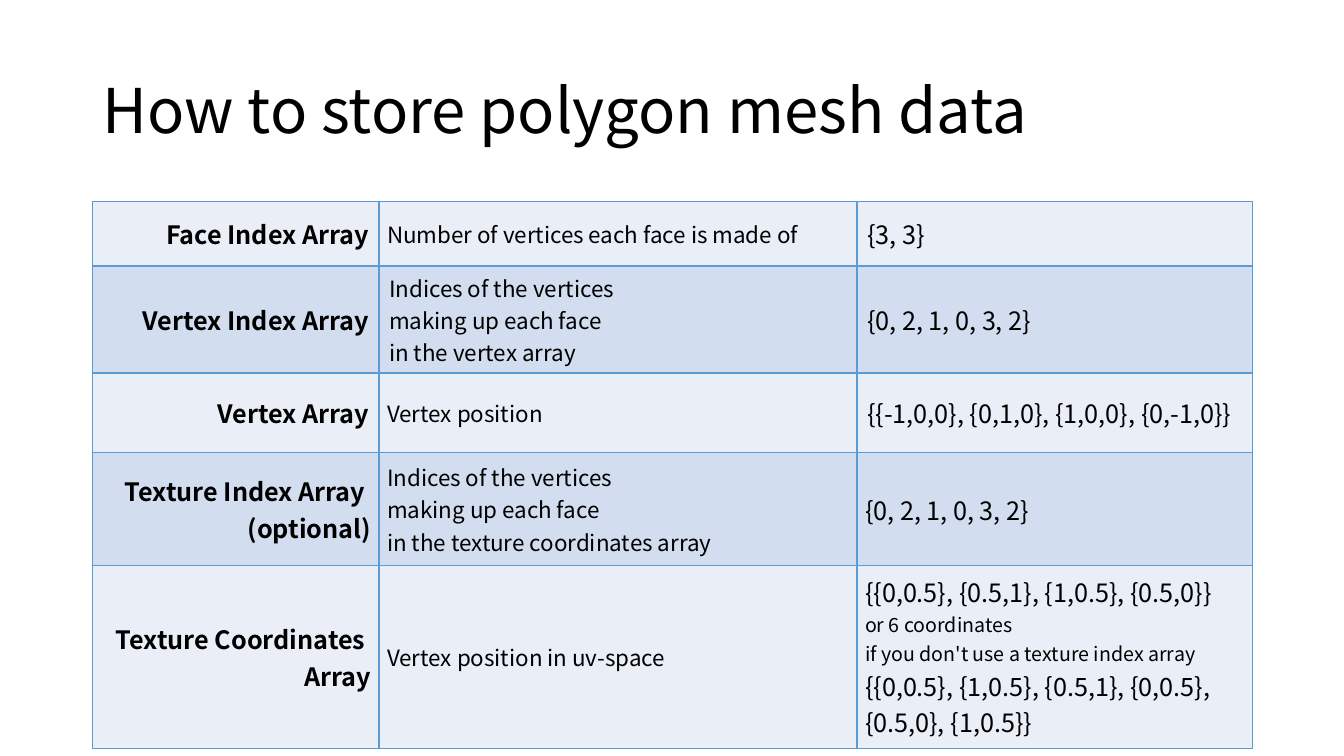
import pptx
import pptx.dml.color
import pptx.enum.text
import pptx.oxml
import pptx.oxml.ns
import pptx.util
from pptx.util import Inches

SLIDE_W, SLIDE_H = Inches(13.33), Inches(7.5)
MARGIN = Inches(0.92)
CONTENT_W = Inches(11.5)
COLUMN_WIDTHS = (2.84, 4.74, 3.92)
ROW_HEIGHTS = (0.64, 0.79, 0.79, 0.79, 0.79)
TIGHT_INSET = Inches(0.08)

FONT = "Noto Sans CJK KR"
BLACK = pptx.dml.color.RGBColor(0x00, 0x00, 0x00)
BORDER = pptx.dml.color.RGBColor(0x5B, 0x9B, 0xD5)
BANDS = (
    pptx.dml.color.RGBColor(0xEA, 0xEF, 0xF7),
    pptx.dml.color.RGBColor(0xD2, 0xDE, 0xEF),
)
LEFT = pptx.enum.text.PP_ALIGN.LEFT
RIGHT = pptx.enum.text.PP_ALIGN.RIGHT
MIDDLE = pptx.enum.text.MSO_ANCHOR.MIDDLE

COLUMN_FORMATS = (
    {"size": 18, "bold": True, "align": RIGHT},
    {"size": 16},
    {"size": 18},
)
NOTE_SIZE = 14

# Each cell is a list of paragraphs; a paragraph is a string or a list of
# (text, size) lines.
ARRAYS = (
    (["Face Index Array"],
     ["Number of vertices each face is made of"],
     ["{3, 3}"]),
    (["Vertex Index Array"],
     ["Indices of the vertices", "making up each face", "in the vertex array"],
     ["{0, 2, 1, 0, 3, 2}"]),
    (["Vertex Array"],
     ["Vertex position"],
     ["{{-1,0,0}, {0,1,0}, {1,0,0}, {0,-1,0}}"]),
    (["Texture Index Array ", "(optional)"],
     ["Indices of the vertices", "making up each face",
      "in the texture coordinates array"],
     ["{0, 2, 1, 0, 3, 2}"]),
    (["Texture Coordinates ", "Array"],
     ["Vertex position in uv-space"],
     ["{{0,0.5}, {0.5,1}, {1,0.5}, {0.5,0}}",
      [("or 6 coordinates", NOTE_SIZE)],
      [("if you don't use a texture index array", NOTE_SIZE),
       ("{{0,0.5}, {1,0.5}, {0.5,1}, {0,0.5},", 18)],
      "{0.5,0}, {1,0.5}}"]),
)
TIGHT_CELLS = {(0, 1), (2, 1)} | {(row, col) for row in (3, 4) for col in range(3)}


def write_text(frame, paragraphs, size, bold=False, align=LEFT, line_spacing=None):
    for index, content in enumerate(paragraphs):
        paragraph = frame.paragraphs[0] if index == 0 else frame.add_paragraph()
        paragraph.alignment = align
        if line_spacing:
            paragraph.line_spacing = line_spacing
        lines = [(content, size)] if isinstance(content, str) else content
        for line_number, (text, line_size) in enumerate(lines):
            if line_number:
                paragraph.add_line_break()
            run = paragraph.add_run()
            run.text = text
            run.font.name = FONT
            run.font.size = pptx.util.Pt(line_size)
            run.font.bold = bold
            run.font.color.rgb = BLACK


def outline_cell(cell):
    """Draw all four borders; they must precede the fill in the cell's XML."""
    properties = cell._tc.get_or_add_tcPr()
    for position, side in enumerate(("lnL", "lnR", "lnT", "lnB")):
        border = pptx.oxml.parse_xml(
            f'<a:{side} {pptx.oxml.ns.nsdecls("a")} w="{pptx.util.Pt(1)}">'
            f'<a:solidFill><a:srgbClr val="{BORDER}"/></a:solidFill></a:{side}>'
        )
        properties.insert(position, border)


def add_title(slide, text):
    title = slide.shapes.title
    title.left, title.top = MARGIN, Inches(0.4)
    title.width, title.height = CONTENT_W, Inches(1.45)
    frame = title.text_frame
    frame.vertical_anchor = MIDDLE
    frame.word_wrap = True
    frame.auto_size = pptx.enum.text.MSO_AUTO_SIZE.NONE
    write_text(frame, [text], size=44, line_spacing=0.9)


def add_array_table(slide):
    table = slide.shapes.add_table(
        len(ARRAYS), len(COLUMN_WIDTHS), MARGIN, Inches(2),
        CONTENT_W, Inches(sum(ROW_HEIGHTS)),
    ).table
    table.first_row = False
    table.horz_banding = False
    for column, width in zip(table.columns, COLUMN_WIDTHS):
        column.width = Inches(width)
    for row, height in zip(table.rows, ROW_HEIGHTS):
        row.height = Inches(height)
    for row_number, array in enumerate(ARRAYS):
        for col_number, paragraphs in enumerate(array):
            cell = table.cell(row_number, col_number)
            cell.vertical_anchor = MIDDLE
            if (row_number, col_number) in TIGHT_CELLS:
                cell.margin_left = cell.margin_right = TIGHT_INSET
                cell.margin_top = cell.margin_bottom = TIGHT_INSET
            cell.fill.solid()
            cell.fill.fore_color.rgb = BANDS[row_number % 2]
            outline_cell(cell)
            write_text(cell.text_frame, paragraphs, **COLUMN_FORMATS[col_number])


def main():
    presentation = pptx.Presentation()
    presentation.slide_width, presentation.slide_height = SLIDE_W, SLIDE_H
    slide = presentation.slides.add_slide(presentation.slide_layouts[5])
    add_title(slide, "How to store polygon mesh data")
    add_array_table(slide)
    presentation.save("out.pptx")


if __name__ == "__main__":
    main()
